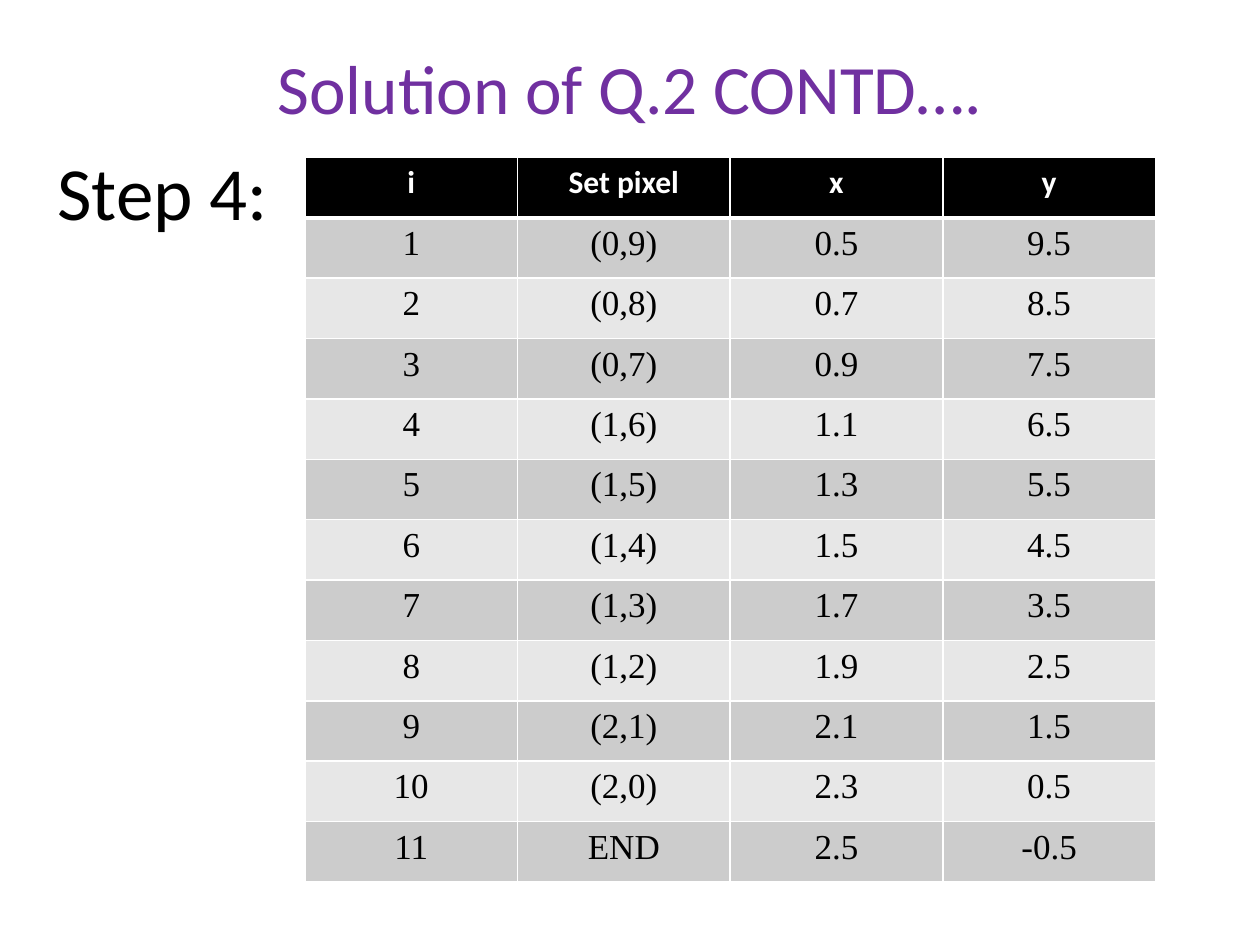
from lxml import etree
from pptx import Presentation
from pptx.dml.color import RGBColor
from pptx.enum.text import MSO_ANCHOR, PP_ALIGN
from pptx.oxml.ns import qn
from pptx.util import Inches, Pt

CENTER = PP_ALIGN.CENTER
MIDDLE = MSO_ANCHOR.MIDDLE

COLORS = {
    "title": "7030A0",
    "text": "000000",
    "white": "FFFFFF",
    "head": "000000",
    "odd": "CCCCCC",
    "even": "E7E7E7",
}
FORMATS = {
    "title": {"name": "Calibri", "size": Pt(39.6), "bold": False},
    "step": {"name": "Calibri", "size": Pt(42.9), "bold": False},
    "head": {"name": "Calibri", "size": Pt(18), "bold": True},
    "body": {"name": "Times New Roman", "size": Pt(20), "bold": False},
}


def put_text(frame, text, style, color):
    """Write one centred line in the given style and colour."""
    par = frame.paragraphs[0]
    par.alignment = CENTER
    run = par.add_run()
    run.text = text
    for key, value in FORMATS[style].items():
        setattr(run.font, key, value)
    run.font.color.rgb = RGBColor.from_string(COLORS[color])


def set_border(cell, side, width):
    """Add a solid white line to one side of a cell."""
    props = cell._tc.get_or_add_tcPr()
    line = etree.SubElement(props, qn(f"a:ln{side}"), w=str(Pt(width)))
    fill = etree.SubElement(line, qn("a:solidFill"))
    etree.SubElement(fill, qn("a:srgbClr"), val=COLORS["white"])


prs = Presentation()
prs.slide_width, prs.slide_height = Inches(10), Inches(7.5)
slide = prs.slides.add_slide(prs.slide_layouts[5])

# Title
title = slide.shapes.title
title.left, title.top = Inches(0.5), Inches(0.3)
title.width, title.height = Inches(9), Inches(0.78)
title.text_frame.vertical_anchor = MIDDLE
put_text(title.text_frame, "Solution of Q.2 CONTD….", "title", "title")

# Table of pixels set at each step
rows = [
    ("i", "Set pixel", "x", "y"),
    ("1", "(0,9)", "0.5", "9.5"),
    ("2", "(0,8)", "0.7", "8.5"),
    ("3", "(0,7)", "0.9", "7.5"),
    ("4", "(1,6)", "1.1", "6.5"),
    ("5", "(1,5)", "1.3", "5.5"),
    ("6", "(1,4)", "1.5", "4.5"),
    ("7", "(1,3)", "1.7", "3.5"),
    ("8", "(1,2)", "1.9", "2.5"),
    ("9", "(2,1)", "2.1", "1.5"),
    ("10", "(2,0)", "2.3", "0.5"),
    ("11", "END", "2.5", "-0.5"),
]
table = slide.shapes.add_table(
    len(rows), len(rows[0]), Inches(2.42), Inches(1.25), Inches(6.75), Inches(5.75)
).table
for r, row in enumerate(rows):
    if r == 0:
        style, ink, band = "head", "white", "head"
    else:
        style, ink, band = "body", "text", "odd" if r % 2 else "even"
    for c, text in enumerate(row):
        cell = table.cell(r, c)
        put_text(cell.text_frame, text, style, ink)
        # The line under the header is thicker
        for side in "LRTB":
            thick = (r, side) in ((0, "B"), (1, "T"))
            set_border(cell, side, 3 if thick else 1)
        cell.fill.solid()
        cell.fill.fore_color.rgb = RGBColor.from_string(COLORS[band])

# Step label
step = slide.shapes.add_textbox(Inches(0.33), Inches(0.83), Inches(1.92), Inches(1.37))
step.text_frame.word_wrap = True
step.text_frame.vertical_anchor = MIDDLE
put_text(step.text_frame, "Step 4:", "step", "text")

prs.save("out.pptx")
